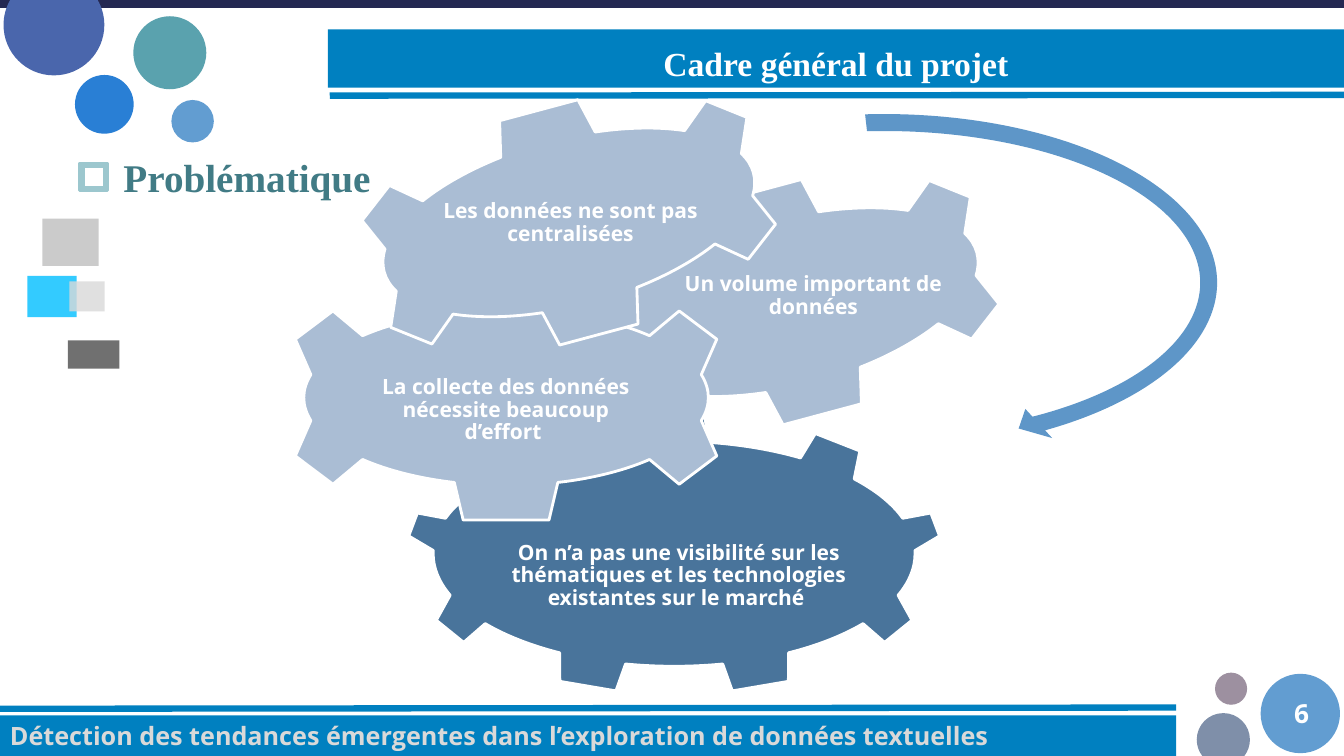
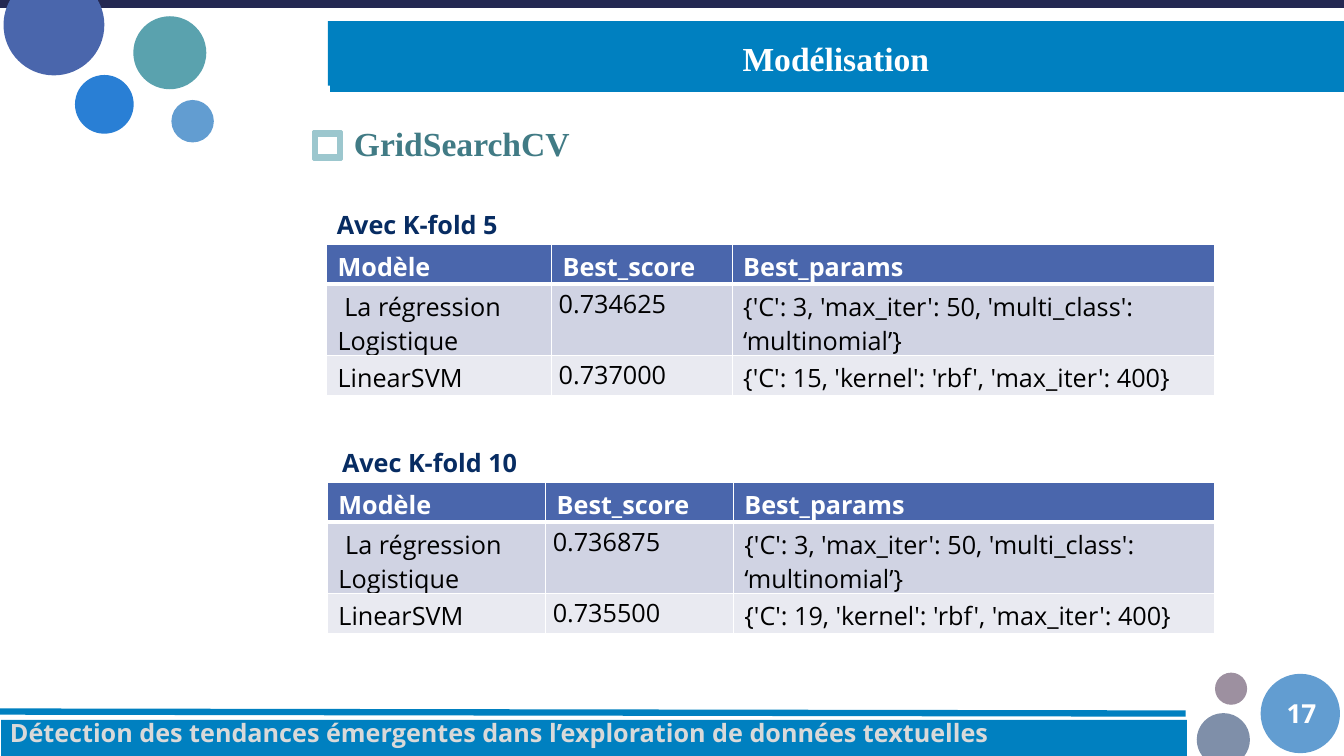
"""Builds two slides on a project's problem statement and its grid search."""
import math

from lxml import etree
from pptx import Presentation
from pptx.dml.color import RGBColor
from pptx.enum.shapes import MSO_CONNECTOR, MSO_SHAPE
from pptx.enum.text import MSO_ANCHOR, MSO_AUTO_SIZE, PP_ALIGN
from pptx.oxml.ns import qn
from pptx.util import Cm, Pt

RECT, OVAL, FRAME = MSO_SHAPE.RECTANGLE, MSO_SHAPE.OVAL, MSO_SHAPE.FRAME
GEAR_6, GEAR_9 = MSO_SHAPE.GEAR_6, MSO_SHAPE.GEAR_9
CIRCULAR_ARROW = MSO_SHAPE.CIRCULAR_ARROW
STRAIGHT = MSO_CONNECTOR.STRAIGHT
LEFT, CENTER, RIGHT = PP_ALIGN.LEFT, PP_ALIGN.CENTER, PP_ALIGN.RIGHT
TOP, MIDDLE = MSO_ANCHOR.TOP, MSO_ANCHOR.MIDDLE
NO_AUTOFIT = MSO_AUTO_SIZE.NONE

SLIDE_WIDTH, SLIDE_HEIGHT = 33.87, 19.05
SANS, SERIF = "Open Sans", "Times New Roman"
COLORS = {
    "white": "FFFFFF", "black": "000000", "navy": "242852", "indigo": "4A66AC",
    "blue": "297FD5", "sky": "629DD1", "teal": "5AA2AE", "mauve": "9D90A0",
    "slate": "7F8FA9", "band": "0080C0", "footer": "D9D9D9", "heading": "417B85",
    "marker": "9CC7CE", "caption": "072C62", "gear": "AABDD4",
    "main_gear": "49749B", "arrow": "5E96C8", "silver": "BFBFBF",
    "cyan": "00BEFF", "charcoal": "4D4D4D", "odd_row": "D0D3E3",
    "even_row": "E9EAF1",
}
FOOTER = "Détection des tendances émergentes dans l’exploration de données textuelles"
TEXT_INSETS = (0.25, 0.13, 0.25, 0.13)
LABEL_INSETS = (0.05, 0.05, 0.05, 0.05)
NUMBER_INSETS = (0.46, 0.23, 0.46, 0.23)
TITLE_INSETS = (0.46, 0.26, 0.46, 0.23)
CELL_INSETS = (0.28, 0.13, 0.28, 0)
SCORE_INSETS = (0.18, 0, 0.18, 0)


def color(name):
    """Return a named colour."""
    return RGBColor.from_string(COLORS[name])


def lengths(values):
    """Convert centimetres to lengths."""
    return [Cm(value) for value in values]


def paint(shape, fill, outline=None):
    """Give a shape a flat fill and an optional outline."""
    shape.shadow.inherit = False
    shape.fill.solid()
    shape.fill.fore_color.rgb = color(fill)
    if outline:
        shape.line.color.rgb = color(outline)
        shape.line.width = Pt(2)
    else:
        shape.line.fill.background()
    return shape


def add_shape(slide, kind, box, fill, outline=None):
    """Add a painted preset shape."""
    return paint(slide.shapes.add_shape(kind, *lengths(box)), fill, outline)


def write(holder, text, size, ink, font=SANS, bold=True, align=LEFT, spacing=1.0):
    """Write one formatted run in the first paragraph."""
    paragraph = holder.text_frame.paragraphs[0]
    paragraph.alignment = align
    paragraph.line_spacing = spacing
    run = paragraph.add_run()
    run.text = text
    run.font.size, run.font.name, run.font.bold = Pt(size), font, bold
    run.font.color.rgb = color(ink)
    return paragraph


def set_insets(holder, insets):
    """Set the four inner margins of a text frame or cell."""
    (holder.margin_left, holder.margin_top,
     holder.margin_right, holder.margin_bottom) = lengths(insets)


def add_text(slide, box, text, size, ink, insets=TEXT_INSETS, anchor=TOP, **style):
    """Add a wrapped text box."""
    textbox = slide.shapes.add_textbox(*lengths(box))
    frame = textbox.text_frame
    frame.word_wrap = True
    frame.vertical_anchor = anchor
    set_insets(frame, insets)
    write(textbox, text, size, ink, **style)


def add_rule(slide, start, end):
    """Add a thick line that doubles a band."""
    rule = slide.shapes.add_connector(STRAIGHT, *lengths(start + end))
    rule.line.color.rgb = color("band")
    rule.line.width = Pt(4.5)
    etree.SubElement(rule._element.spPr, qn("a:effectLst"))


def add_cut_circle(slide, center_x, center_y, radius, edge, fill):
    """Add a circle cut off at the slide's edge, drawn as four curves."""
    side = 1 if edge > center_y else -1
    cut = math.asin(abs(edge - center_y) / radius)
    angles = (cut, 0, -math.pi / 2, -math.pi, -math.pi - cut)

    def locate(angle, offset=0):
        """Return a point of the circle, moved along its tangent."""
        x = math.cos(angle) - offset * math.sin(angle)
        y = math.sin(angle) + offset * math.cos(angle)
        return Cm(center_x + radius * x), Cm(center_y + side * radius * y)

    points = []
    for start, end in zip(angles, angles[1:]):
        reach = 4 / 3 * math.tan((end - start) / 4)
        points += [locate(start, reach), locate(end, -reach), locate(end)]
    builder = slide.shapes.build_freeform(*locate(cut))
    builder.add_line_segments(points, close=True)
    circle = paint(builder.convert_to_shape(), fill)
    segments = list(circle._element.iter(qn("a:lnTo")))
    for first in range(0, len(segments), 3):
        curve = etree.Element(qn("a:cubicBezTo"))
        segments[first].addprevious(curve)
        for segment in segments[first:first + 3]:
            curve.append(segment[0])
            segment.getparent().remove(segment)


def decorate_layout(layout, slide):
    """Draw the common decoration and move it to the layout."""
    for placeholder in list(layout.placeholders)[1:]:
        placeholder._element.getparent().remove(placeholder._element)
    add_shape(slide, RECT, (0, 0, SLIDE_WIDTH, 0.2), "navy")
    for left, top, size, fill in (
        (4.32, 2.52, 1.07, "sky"), (1.89, 1.89, 1.48, "blue"),
        (3.36, 0.41, 1.84, "teal"), (30.62, 16.95, 0.81, "mauve"),
        (31.77, 16.98, 2, "sky"),
    ):
        add_shape(slide, OVAL, (left, top, size, size), fill)
    add_cut_circle(slide, 1.36, 0.63, 1.27, 0, "indigo")
    add_cut_circle(slide, 30.83, 18.64, 0.67, SLIDE_HEIGHT, "slate")
    for decoration in list(slide.shapes)[1:]:
        layout.shapes._spTree.append(decoration._element)


def add_title(slide, text, top, height, rule_start, rule_end):
    """Format the title as a band with a rule below."""
    title = slide.shapes.title
    title.left, title.top, title.width, title.height = lengths(
        (8.26, top, SLIDE_WIDTH - 8.26, height))
    title.fill.solid()
    title.fill.fore_color.rgb = color("band")
    frame = title.text_frame
    frame.auto_size = NO_AUTOFIT
    frame.vertical_anchor = MIDDLE
    set_insets(frame, TITLE_INSETS)
    write(title, text, 24, "white", font=SERIF, align=CENTER, spacing=1.2)
    add_rule(slide, (8.31, rule_start), (SLIDE_WIDTH, rule_end))


def add_footer(slide, number, band_left, band_top, width, text_top, rule_start, rule_end):
    """Add the footer band, its rule and the slide number."""
    add_rule(slide, (0, rule_start), (width, rule_end))
    add_shape(slide, RECT, (band_left, band_top, width, SLIDE_HEIGHT - band_top), "band")
    add_text(slide, (0, text_top, width, 1.02), FOOTER, 18, "footer")
    add_text(slide, (31.8, 17.46, 2, 1.02), number, 18.7, "white",
             insets=NUMBER_INSETS, anchor=MIDDLE, align=CENTER)


def add_heading(slide, marker, box, text, size, **style):
    """Add a section heading with its square marker."""
    add_shape(slide, FRAME, marker + (0.71, 0.69), "marker", "marker")
    add_text(slide, box, text, size, "heading", font=SERIF, **style)


def add_gear(slide, kind, box, fill, label_box, label, rotation=0):
    """Add a gear and its label."""
    gear = add_shape(slide, kind, box, fill, "white")
    gear.rotation = rotation
    add_text(slide, label_box, label, 15, "white", insets=LABEL_INSETS,
             anchor=MIDDLE, align=CENTER, spacing=0.9)


def add_borders(cell, top, bottom):
    """Give a cell white borders."""
    properties = cell._tc.get_or_add_tcPr()
    for side, width in (("L", 1), ("R", 1), ("T", top), ("B", bottom)):
        border = etree.SubElement(properties, qn(f"a:ln{side}"), w=str(Pt(width)))
        fill = etree.SubElement(border, qn("a:solidFill"))
        etree.SubElement(fill, qn("a:srgbClr"), val=COLORS["white"])


def add_scores(slide, left, top, widths, rows):
    """Add a table of models, scores and parameters."""
    heights = (1, 1.8, 1)
    header = ("Modèle", "Best_score", "Best_params")
    fills = ("indigo", "odd_row", "even_row")
    table = slide.shapes.add_table(
        len(heights), len(widths),
        *lengths((left, top, sum(widths), sum(heights)))).table
    table.horz_banding = False
    for column, width in zip(table.columns, widths):
        column.width = Cm(width)
    for r, values in enumerate((header, *rows)):
        table.rows[r].height = Cm(heights[r])
        is_header = r == 0
        for c, value in enumerate(values):
            cell = table.cell(r, c)
            is_score = c == 1 and not is_header
            add_borders(cell, 3 if r == 1 else 1, 3 if is_header else 1)
            cell.fill.solid()
            cell.fill.fore_color.rgb = color(fills[r])
            set_insets(cell, SCORE_INSETS if is_score else CELL_INSETS)
            paragraph = write(cell, value, 18, "white" if is_header else "black",
                              bold=is_header, spacing=1.07 if is_score else 1.0)
            if (r, c) == (1, 0):
                paragraph._p.get_or_add_pPr().set("indent", str(Cm(0.17)))


def fill_problem_slide(slide):
    """Build the slide on the project's problem statement."""
    add_title(slide, "Cadre général du projet", 0.74, 1.47, 2.41, 2.39)
    add_footer(slide, "6", 0, 18.03, 29.64, 18.03, 17.86, 17.83)
    for box, fill in (
        ((1.07, 5.51, 1.42, 1.19), "silver"), ((0.69, 6.95, 1.24, 1.04), "cyan"),
        ((1.75, 7.09, 0.89, 0.76), "footer"), ((1.71, 8.58, 1.3, 0.71), "charcoal"),
    ):
        square = add_shape(slide, RECT, box, fill)
        tint = square._element.spPr.find(".//" + qn("a:srgbClr"))
        etree.SubElement(tint, qn("a:alpha"), val="80000")
    add_heading(slide, (2.01, 4.11), (2.27, 4.06, 7.32, 1.98), "Problématique", 28,
                align=RIGHT, spacing=0.7)
    add_gear(slide, GEAR_6, (14.25, 4.62, 11.43, 5.99), "gear",
             (16.46, 5.38, 8.08, 4.17), "Un volume important de données", 345)
    add_gear(slide, GEAR_9, (10.21, 10.41, 13.56, 7.09), "main_gear",
             (12.4, 12.69, 9.42, 3.66),
             "On n’a pas une visibilité sur les thématiques et les technologies "
             "existantes sur le marché ")
    add_gear(slide, GEAR_6, (6.71, 6.86, 12.09, 6.32), "gear",
             (9.31, 8.78, 6.88, 3.12),
             "La collecte des données nécessite beaucoup d’effort ")
    add_gear(slide, GEAR_6, (8.62, 2.61, 11.43, 5.99), "gear",
             (10.34, 3.54, 8.08, 4.17), "Les données ne sont pas centralisées", 345)
    arrow = add_shape(slide, CIRCULAR_ARROW, (13.61, 2.59, 17.35, 9.07), "arrow")
    for index, percent in enumerate((4.7, 299, 2540.1, 15810.7, 5.5)):
        arrow.adjustments[index] = percent / 100


def fill_model_slide(slide):
    """Build the slide on the grid search results."""
    add_title(slide, "Modélisation", 0.53, 1.63, 2.23, 2.23)
    add_footer(slide, "17", 0.03, 18.14, 29.88, 17.94, 17.93, 17.98)
    add_heading(slide, (7.9, 3.32), (8.67, 2.97, 6, 1.27), "GridSearchCV", 24)
    logistic, svm = "La régression Logistique", "LinearSVM"
    logistic_params = "{'C': 3, 'max_iter': 50, 'multi_class': ‘multinomial’}"
    for folds, caption_left, left, top, widths, scores, svm_params in (
        (5, 8.24, 8.23, 6.16, (5.67, 4.55, 12.16), ("0.734625", "0.737000"),
         "{'C': 15, 'kernel': 'rbf', 'max_iter': 400}"),
        (10, 8.37, 8.25, 12.16, (5.5, 4.73, 12.13), ("0.736875", "0.735500"),
         "{'C': 19, 'kernel': 'rbf', 'max_iter': 400}"),
    ):
        add_text(slide, (caption_left, top - 1.02, 6, 1.02),
                 f"Avec K-fold {folds}", 18, "caption")
        add_scores(slide, left, top, widths,
                   ((logistic, scores[0], logistic_params),
                    (svm, scores[1], svm_params)))


def main():
    """Build and save the presentation."""
    presentation = Presentation()
    presentation.slide_width = Cm(SLIDE_WIDTH)
    presentation.slide_height = Cm(SLIDE_HEIGHT)
    layout = presentation.slide_layouts[5]
    problem_slide = presentation.slides.add_slide(layout)
    decorate_layout(layout, problem_slide)
    fill_problem_slide(problem_slide)
    fill_model_slide(presentation.slides.add_slide(layout))
    presentation.save("out.pptx")


if __name__ == "__main__":
    main()
